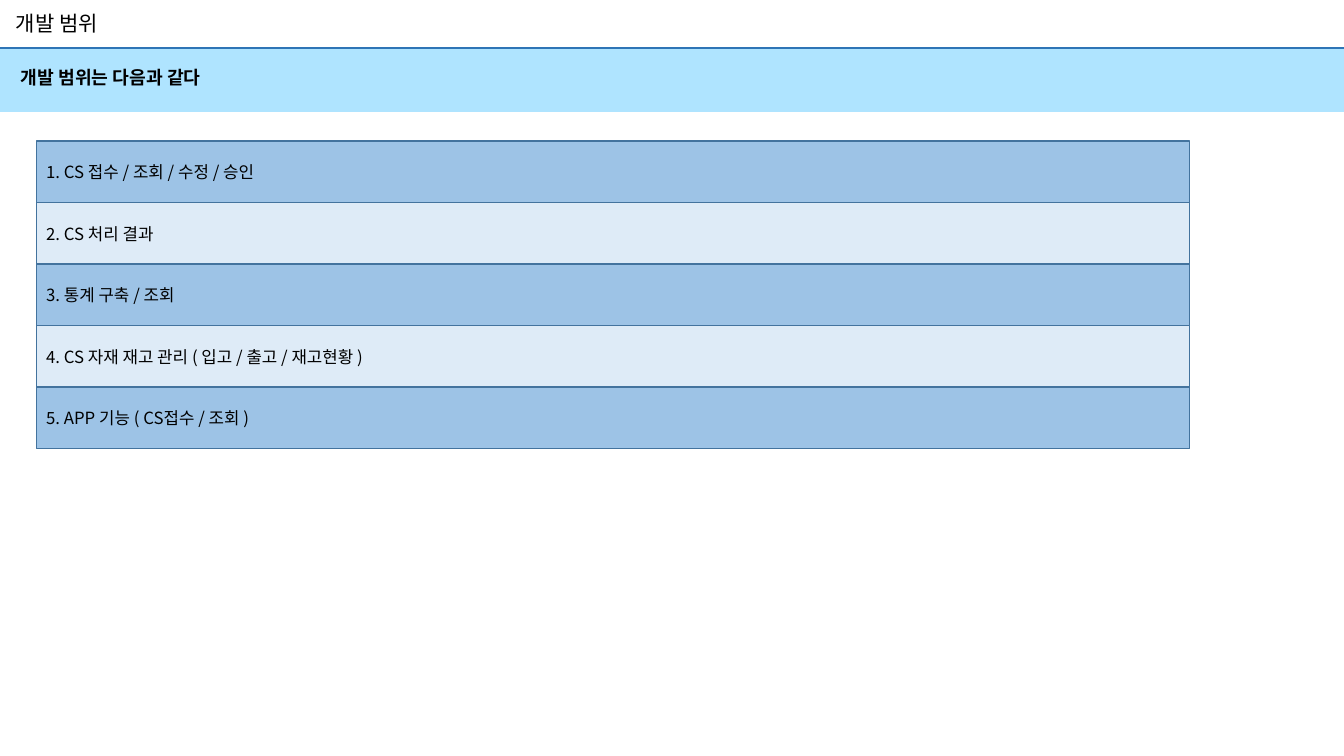
from lxml import etree
from pptx import Presentation
from pptx.dml.color import RGBColor
from pptx.enum.shapes import MSO_CONNECTOR, MSO_SHAPE
from pptx.enum.text import MSO_ANCHOR, MSO_AUTO_SIZE, PP_ALIGN
from pptx.oxml.ns import qn
from pptx.util import Inches, Pt

RECTANGLE = MSO_SHAPE.RECTANGLE
STRAIGHT = MSO_CONNECTOR.STRAIGHT
MIDDLE = MSO_ANCHOR.MIDDLE
LEFT = PP_ALIGN.LEFT
GROW = MSO_AUTO_SIZE.SHAPE_TO_FIT_TEXT

FONT = "Noto Sans CJK KR"
BLACK = RGBColor(0x00, 0x00, 0x00)
SKY = RGBColor(0xAF, 0xE4, 0xFF)
RULE_BLUE = RGBColor(0x2E, 0x75, 0xB6)
BORDER_BLUE = RGBColor(0x43, 0x73, 0x9E)
ROW_FILLS = [RGBColor(0x9D, 0xC3, 0xE6), RGBColor(0xDE, 0xEB, 0xF7)]

BAND_TOP, BAND_HEIGHT = 0.48, 0.63
ROW_LEFT, ROW_TOP, ROW_WIDTH, ROW_HEIGHT = 0.36, 1.4, 11.44, 0.61

deck = Presentation()
deck.slide_width, deck.slide_height = Inches(13.33), Inches(7.5)
page = deck.slides.add_slide(deck.slide_layouts[6])


def write(box, text, size, bold=False):
    box.text_frame.text = text
    para = box.text_frame.paragraphs[0]
    para.alignment = LEFT
    span = para.runs[0]
    span.font.name = FONT
    span.font.size = Pt(size)
    span.font.bold = bold
    span.font.color.rgb = BLACK
    # Hangul takes the East Asian typeface
    latin = span.font._element.find(qn("a:latin"))
    east_asian = etree.Element(qn("a:ea"), typeface=FONT)
    latin.addnext(east_asian)


def add_rectangle(left, top, width, height, fill):
    box = page.shapes.add_shape(
        RECTANGLE, Inches(left), Inches(top), Inches(width), Inches(height))
    box.shadow.inherit = False
    box.fill.solid()
    box.fill.fore_color.rgb = fill
    box.line.fill.background()
    return box


# Header band and the rule along its top edge
add_rectangle(0, BAND_TOP, 13.33, BAND_HEIGHT, SKY)
rule = page.shapes.add_connector(
    STRAIGHT, 0, Inches(BAND_TOP), deck.slide_width, Inches(BAND_TOP))
rule.line.color.rgb = RULE_BLUE
rule.line.width = Pt(1.5)
etree.SubElement(rule._element.spPr, qn("a:effectLst"))

# Title and lead sentence
headings = [
    ("개발 범위", 0.06, 0.06, 1.11, 0.35, 15, False),
    ("개발 범위는 다음과 같다", 0.11, 0.61, 2.22, 0.32, 13, True),
]
for text, left, top, width, height, size, bold in headings:
    heading = page.shapes.add_textbox(
        Inches(left), Inches(top), Inches(width), Inches(height))
    heading.text_frame.word_wrap = False
    heading.text_frame.auto_size = GROW
    write(heading, text, size, bold)

# Scope items, stacked in alternating colours
scope_items = [
    "1. CS 접수 / 조회 / 수정 / 승인",
    "2. CS 처리 결과",
    "3. 통계 구축 / 조회",
    "4. CS 자재 재고 관리 ( 입고 / 출고 / 재고현황 )",
    "5. APP 기능 ( CS접수 / 조회 )",
]
for index, item in enumerate(scope_items):
    row = add_rectangle(ROW_LEFT, ROW_TOP + index * ROW_HEIGHT,
                        ROW_WIDTH, ROW_HEIGHT, ROW_FILLS[index % 2])
    row.line.color.rgb = BORDER_BLUE
    row.line.width = Pt(1)
    row.text_frame.vertical_anchor = MIDDLE
    write(row, item, 12)

deck.save("out.pptx")
